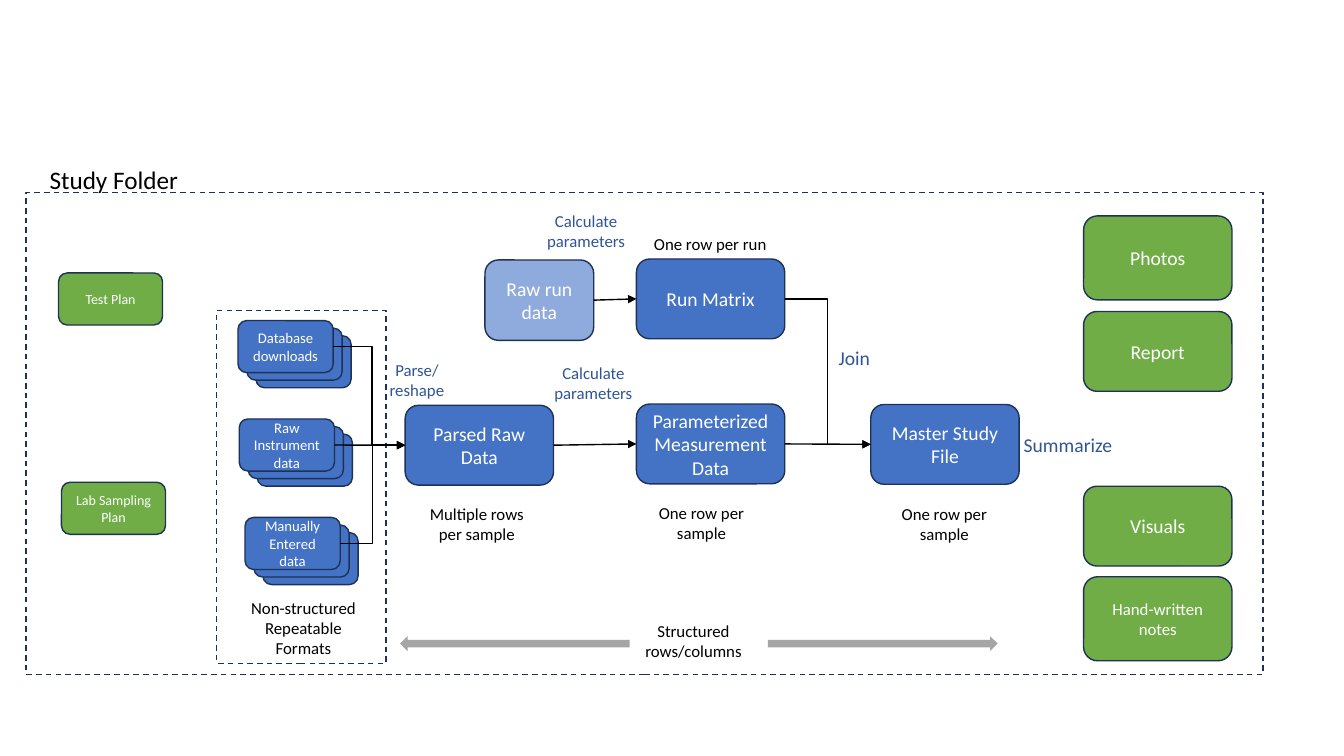
from lxml import etree
from pptx import Presentation
from pptx import util as u
from pptx.dml.color import RGBColor
from pptx.enum import dml, shapes, text
from pptx.oxml import ns

BLUE = RGBColor(0x44, 0x72, 0xC4)
PALE_BLUE = RGBColor(0x8F, 0xAA, 0xDC)
GREEN = RGBColor(0x70, 0xAD, 0x47)
GRAY = RGBColor(0xA5, 0xA5, 0xA5)
OUTLINE = RGBColor(0x1E, 0x32, 0x56)
LABEL_BLUE = RGBColor(0x2F, 0x55, 0x97)
WHITE = RGBColor(0xFF, 0xFF, 0xFF)
BLACK = RGBColor(0, 0, 0)

deck = Presentation()
deck.slide_width, deck.slide_height = u.Pt(960), u.Pt(540)
page = deck.slides.add_slide(deck.slide_layouts[6])


def write(shape, words, size, color):
    frame = shape.text_frame
    frame.word_wrap = True
    para = frame.paragraphs[0]
    para.alignment = text.PP_ALIGN.CENTER
    span = para.add_run()
    span.text = words
    span.font.name = "Calibri"
    span.font.size = u.Pt(size)
    span.font.color.rgb = color


def add_box(kind, left, top, width, height, fill=None, line=OUTLINE):
    box = page.shapes.add_shape(kind, u.Pt(left), u.Pt(top), u.Pt(width), u.Pt(height))
    box.shadow.inherit = False
    if fill is None:
        box.fill.background()
    else:
        box.fill.solid()
        box.fill.fore_color.rgb = fill
    if line is None:
        box.line.fill.background()
    else:
        box.line.color.rgb = line
        box.line.width = u.Pt(1)
    return box


for left, top, width, height in [(18.7, 137.5, 883.4, 344.2), (154.8, 221.8, 121, 252)]:
    folder = add_box(shapes.MSO_SHAPE.RECTANGLE, left, top, width, height)
    folder.line.dash_style = dml.MSO_LINE.DASH

boxes = {}

stacks = [
    ("Database downloads", 170, 229),
    ("Raw Instrument data", 170.9, 299.3),
    ("Manually Entered data", 175, 369.6),
]
for name, left, top in stacks:
    for depth in (2, 1, 0):
        sheet = add_box(shapes.MSO_SHAPE.ROUNDED_RECTANGLE,
                        left + 6.4 * depth, top + 5.4 * depth, 68, 37.2, BLUE)
    write(sheet, name, 10.5, WHITE)
    boxes[name] = sheet

steps = [
    ("Run Matrix", 454.6, 185, 106, 57, BLUE, 14),
    ("Parameterized Measurement Data", 454.6, 288.6, 106, 57, BLUE, 14),
    ("Parsed Raw Data", 289.4, 289.5, 106, 57, BLUE, 14),
    ("Master Study File", 622, 288.9, 106, 57, BLUE, 14),
    ("Raw run data", 346.4, 185.7, 77.7, 57.4, PALE_BLUE, 14),
    ("Photos", 774, 154.2, 106, 60, GREEN, 14),
    ("Report", 774, 222.5, 106, 57, GREEN, 14),
    ("Visuals", 774, 347.3, 106, 57, GREEN, 14),
    ("Hand-written notes", 774, 412, 106, 60, GREEN, 12),
    ("Test Plan", 41.8, 195, 74.3, 37.2, GREEN, 10),
    ("Lab Sampling Plan", 43.9, 344.5, 74.3, 37.2, GREEN, 10),
]
for name, left, top, width, height, fill, size in steps:
    step = add_box(shapes.MSO_SHAPE.ROUNDED_RECTANGLE, left, top, width, height, fill)
    write(step, name, size, WHITE)
    boxes[name] = step

STRAIGHT, ELBOW = shapes.MSO_CONNECTOR.STRAIGHT, shapes.MSO_CONNECTOR.ELBOW
flows = [
    ("Raw Instrument data", "Parsed Raw Data", STRAIGHT, None),
    ("Manually Entered data", "Parsed Raw Data", ELBOW, 50000),
    ("Database downloads", "Parsed Raw Data", ELBOW, 53900),
    ("Parsed Raw Data", "Parameterized Measurement Data", STRAIGHT, None),
    ("Raw run data", "Run Matrix", STRAIGHT, None),
    ("Run Matrix", "Master Study File", ELBOW, 50000),
    ("Parameterized Measurement Data", "Master Study File", STRAIGHT, None),
]
for source, target, kind, bend in flows:
    arrow = page.shapes.add_connector(kind, 0, 0, 0, 0)
    arrow.begin_connect(boxes[source], 3)
    arrow.end_connect(boxes[target], 1)
    arrow.line.color.rgb = BLACK
    arrow.line.width = u.Pt(1)
    etree.SubElement(arrow.line._get_or_add_ln(), ns.qn("a:tailEnd"), type="triangle")
    properties = arrow._element.spPr
    etree.SubElement(properties, ns.qn("a:effectLst"))
    if bend:
        guides = properties.find(ns.qn("a:prstGeom")).find(ns.qn("a:avLst"))
        etree.SubElement(guides, ns.qn("a:gd"), name="adj1", fmla=f"val {bend}")

for kind, left in [(shapes.MSO_SHAPE.LEFT_ARROW, 285.8), (shapes.MSO_SHAPE.RIGHT_ARROW, 548.6)]:
    add_box(kind, left, 454.3, 164, 10.8, GRAY, None)

labels = [
    ("Study Folder", 10.8, 113.8, 141, 29, 18, BLACK),
    ("Non-structured Repeatable Formats", 170, 423.4, 93.6, 51, 12, BLACK),
    ("Structured rows/columns", 448.6, 440, 93.6, 36, 12, BLACK),
    ("Multiple rows per sample", 293.8, 356.4, 93.6, 36, 12, BLACK),
    ("One row per sample", 454.3, 355.8, 93.6, 36, 12, BLACK),
    ("One row per sample", 627.8, 356.4, 93.6, 36, 12, BLACK),
    ("One row per run", 454.3, 163.4, 106, 21.8, 12, BLACK),
    ("Parse/ reshape", 270.8, 253.6, 54, 36, 12, LABEL_BLUE),
    ("Calculate parameters", 381, 255.4, 85.7, 36, 12, LABEL_BLUE),
    ("Calculate parameters", 375.8, 146.8, 85.7, 36, 12, LABEL_BLUE),
    ("Join", 567.4, 243.2, 85.7, 24.2, 14, LABEL_BLUE),
    ("Summarize", 720, 306, 85.7, 24.2, 14, LABEL_BLUE),
]
for words, left, top, width, height, size, color in labels:
    label = page.shapes.add_textbox(u.Pt(left), u.Pt(top), u.Pt(width), u.Pt(height))
    label.text_frame.auto_size = text.MSO_AUTO_SIZE.SHAPE_TO_FIT_TEXT
    write(label, words, size, color)

deck.save("out.pptx")
